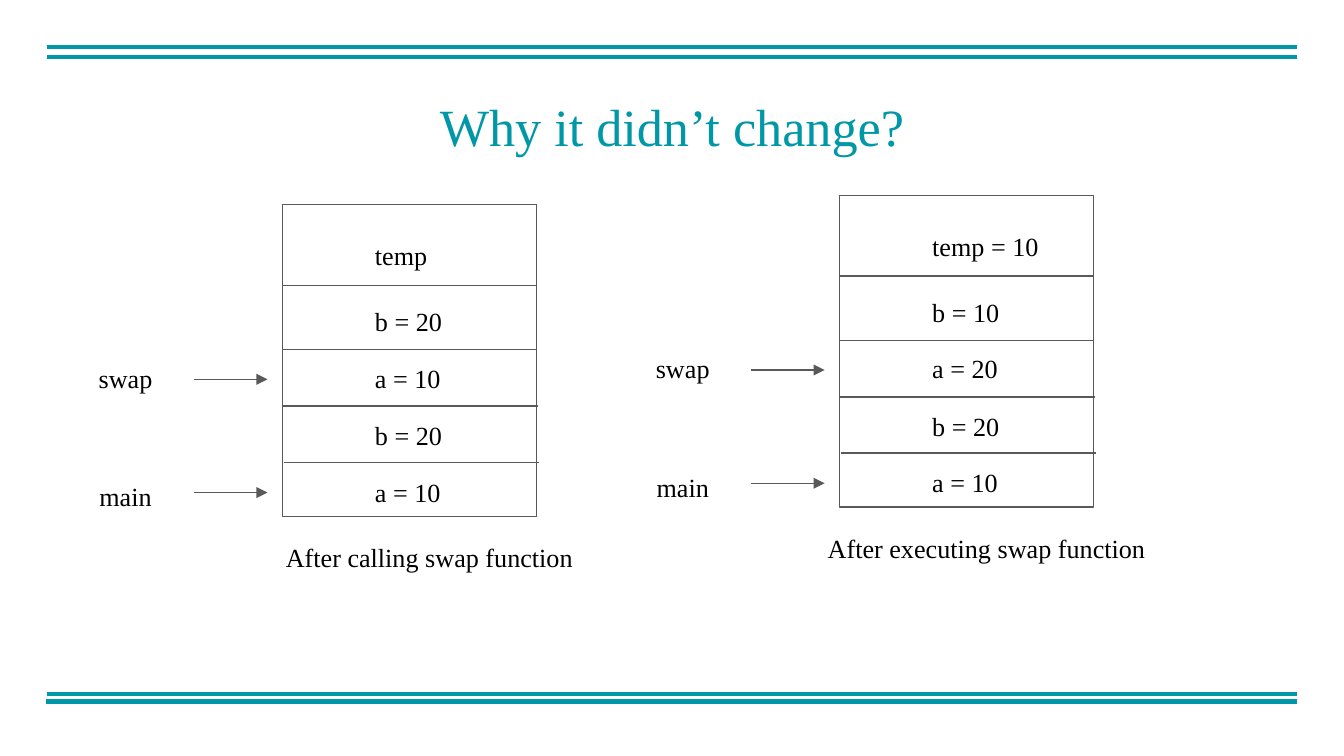
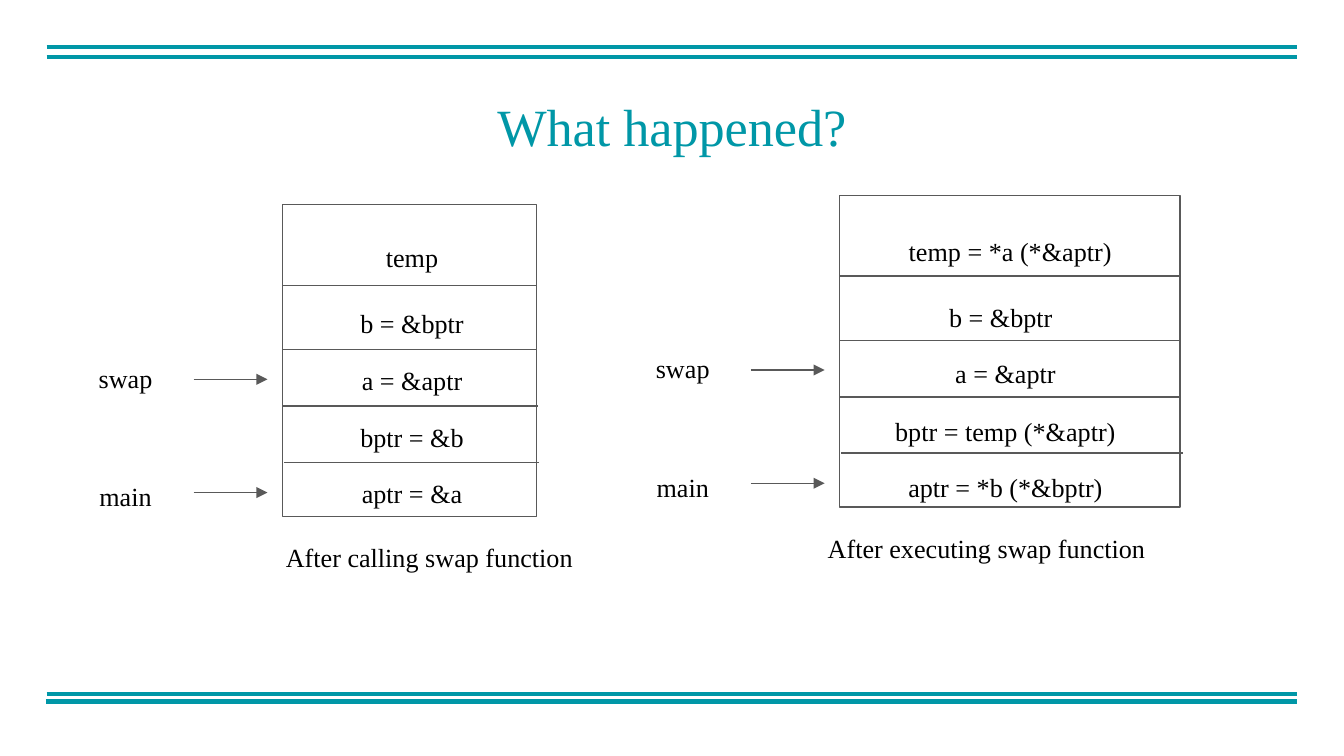
from pptx import Presentation
from pptx.dml.color import RGBColor
from pptx.enum import shapes, text
from pptx.oxml.ns import qn
from pptx.util import Pt
from lxml import etree

HUES = {"teal": "0097A7", "grey": "595959", "ink": "000000", "paper": "FFFFFF"}
FACE = "Times New Roman"
MID, LEFT = text.PP_ALIGN.CENTER, text.PP_ALIGN.LEFT

# Offsets from the top of a stack
RULES = [(43.2, 0, 0), (77.8, 0, 0), (108, 0, 0.8), (138.2, 1, 1.5)]  # y, start, overrun
ROWS = [11.5, 46.8, 77.2, 107.9, 138.2]
FRAMES = [("swap", 77.2, 93.6), ("main", 140.6, 154.3)]  # name, label y, arrow y
BANDS = [(25, 25.2), (25, 30.4), (25, 371.6), (24.6, 375.8)]


def hue(name):
    return RGBColor.from_string(HUES[name])


def write(box, words, size=14, color="ink", align=MID):
    frame = box.text_frame
    frame.word_wrap = True
    frame.auto_size = text.MSO_AUTO_SIZE.SHAPE_TO_FIT_TEXT
    frame.vertical_anchor = text.MSO_ANCHOR.TOP
    frame.margin_left = frame.margin_right = Pt(7.2)
    frame.margin_top = frame.margin_bottom = Pt(7.2)
    para = frame.paragraphs[0]
    para.alignment = align
    run = para.add_run()
    run.text = words
    run.font.name = FACE
    run.font.size = Pt(size)
    run.font.color.rgb = hue(color)


def label(slide, words, x, y, w, **style):
    box = slide.shapes.add_textbox(Pt(x), Pt(y), Pt(w), Pt(31.7))
    write(box, words, **style)


def line(slide, x1, x2, y, color="grey", width=0.75, arrow=False):
    link = slide.shapes.add_connector(
        shapes.MSO_CONNECTOR.STRAIGHT, Pt(x1), Pt(y), Pt(x2), Pt(y))
    link.line.color.rgb = hue(color)
    link.line.width = Pt(width)
    if arrow:
        etree.SubElement(link.line._get_or_add_ln(), qn("a:tailEnd"), type="triangle")
    etree.SubElement(link._element.spPr, qn("a:effectLst"))


def stack(slide, x, y, cells, caption, width=136.1, dx=42.5, drop=0,
          spans=(149.8,) * 5, align=LEFT):
    """Draw a call stack with its cells, caption and frame arrows."""
    box = slide.shapes.add_shape(
        shapes.MSO_SHAPE.RECTANGLE, Pt(x), Pt(y), Pt(width), Pt(167))
    box.shadow.inherit = False
    box.fill.solid()
    box.fill.fore_color.rgb = hue("paper")
    box.line.color.rgb = hue("grey")
    box.line.width = Pt(0.75)
    for rule, start, over in RULES:
        line(slide, x + start, x + width + over, y + rule)
    for words, top, span in zip(cells, ROWS, spans):
        label(slide, words, x + dx, y + top + drop, span, align=align)
    label(slide, caption, x - 19.8, y + 173.5, 197.3)
    for name, top, tip in FRAMES:
        label(slide, name, x - 120.4, y + top, 72.7)
        line(slide, x - 47.5, x - 8, y + tip, arrow=True)


def page(deck, title, before, after):
    slide = deck.slides.add_slide(deck.slide_layouts[5])
    head = slide.shapes.title
    head.left, head.top, head.width, head.height = Pt(150.5), Pt(43.2), Pt(419), Pt(48.2)
    write(head, title, size=28, color="teal")
    for x, y in BANDS:
        line(slide, x, x + 670, y, color="teal", width=2.25)
    stack(slide, 151.3, 109.6, caption="After calling swap function", **before)
    stack(slide, 449.8, 104.6, caption="After executing swap function", **after)


def main():
    deck = Presentation()
    deck.slide_width, deck.slide_height = Pt(720), Pt(405)
    page(deck, "Why it didn’t change?",
         {"cells": ["temp", "b = 20", "a = 10", "b = 20", "a = 10"]},
         {"cells": ["temp = 10", "b = 10", "a = 20", "b = 20", "a = 10"]})
    page(deck, "What happened?",
         {"cells": ["temp", "b = &bptr", "a = &aptr", "bptr = &b", "aptr = &a"],
          "dx": 1.4, "drop": 1, "spans": (136.1,) * 5, "align": MID},
         {"cells": ["temp = *a (*&aptr)", "b = &bptr", "a = &aptr",
                    "bptr = temp (*&aptr)", "aptr = *b (*&bptr)"],
          "width": 182.3, "dx": 0, "drop": 2.7, "align": MID,
          "spans": (182.9, 172.8, 177.8, 177.8, 177.8)})
    deck.save("out.pptx")


if __name__ == "__main__":
    main()
